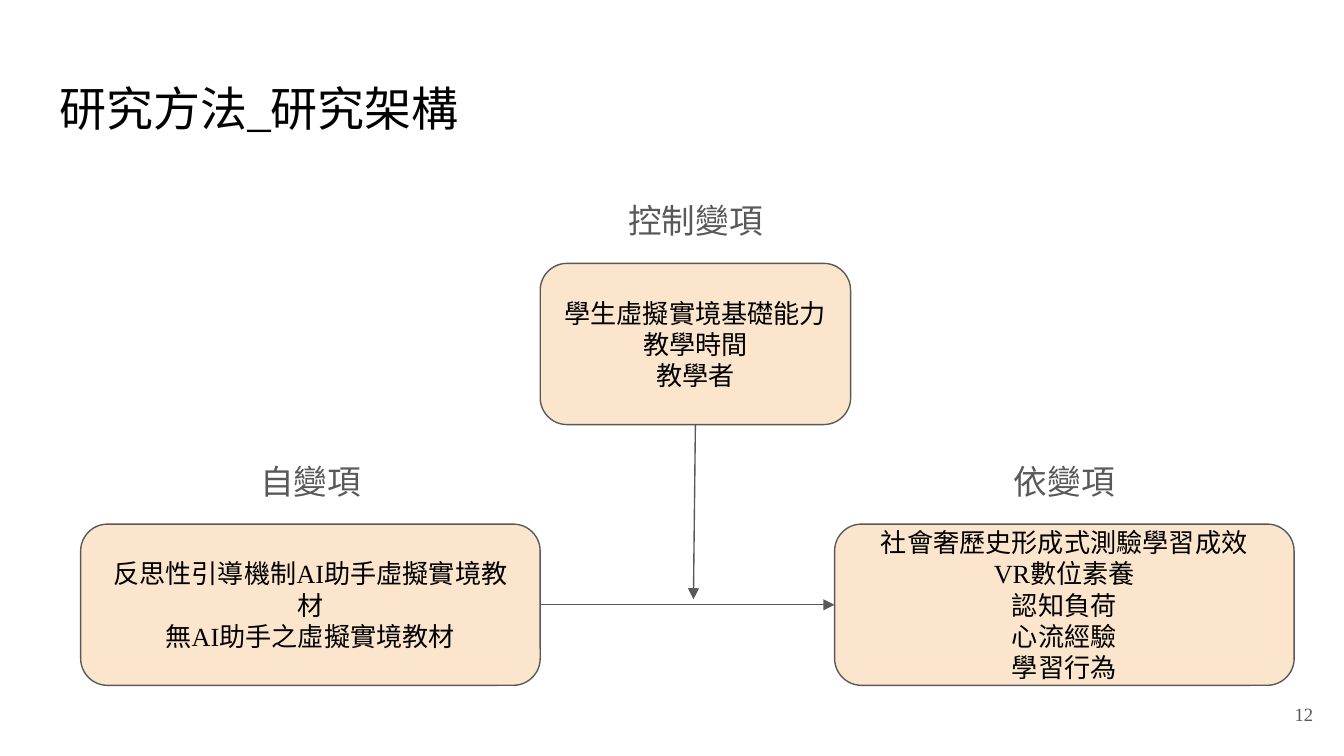
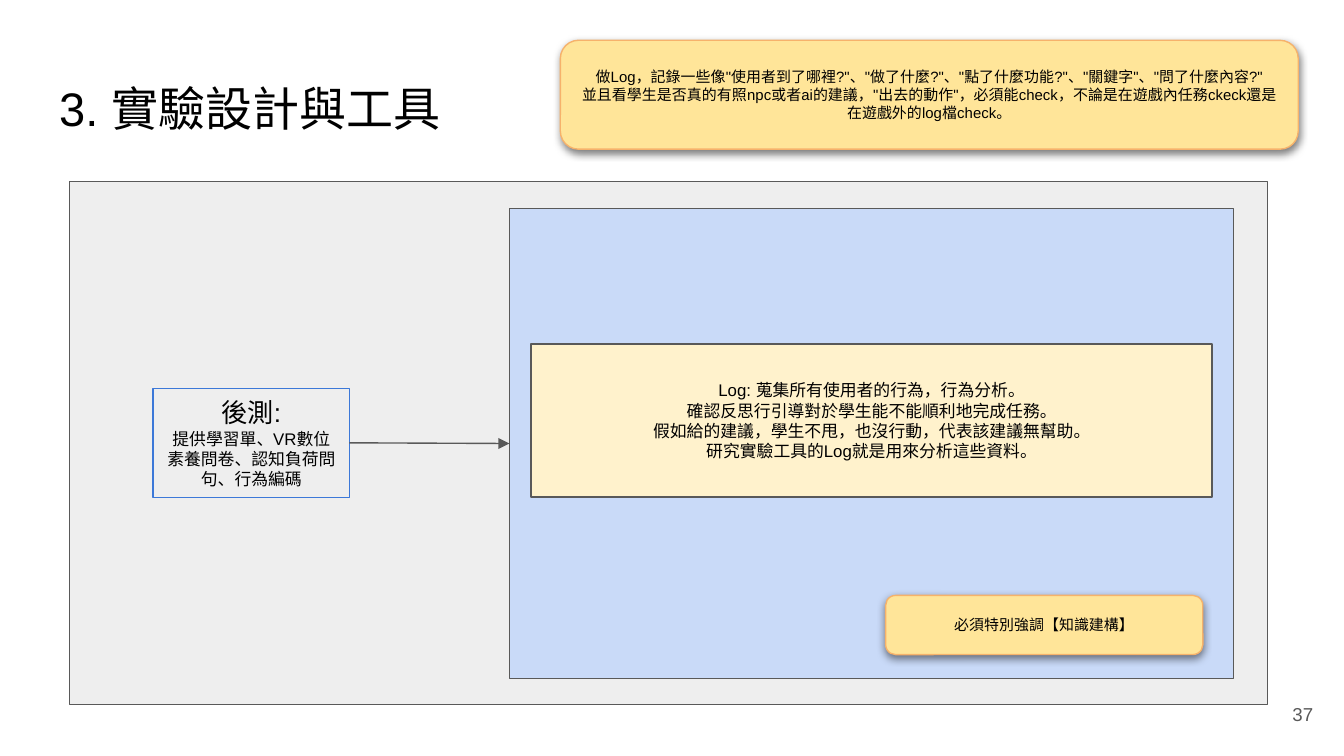
from lxml import etree
from pptx import Presentation
from pptx.dml.color import RGBColor
from pptx.enum.shapes import MSO_CONNECTOR, MSO_SHAPE
from pptx.enum.text import MSO_ANCHOR, MSO_AUTO_SIZE, PP_ALIGN
from pptx.oxml import parse_xml
from pptx.oxml.ns import nsdecls, qn
from pptx.util import Pt

RECT = MSO_SHAPE.RECTANGLE
ROUND = MSO_SHAPE.ROUNDED_RECTANGLE
LINE = MSO_CONNECTOR.STRAIGHT
LEFT, MID, RIGHT = PP_ALIGN.LEFT, PP_ALIGN.CENTER, PP_ALIGN.RIGHT
TOP, CENTER = MSO_ANCHOR.TOP, MSO_ANCHOR.MIDDLE
FIXED = MSO_AUTO_SIZE.NONE

BLACK = RGBColor(0x00, 0x00, 0x00)
GRAY = RGBColor(0x59, 0x59, 0x59)
PALE = RGBColor(0xEE, 0xEE, 0xEE)
PEACH = RGBColor(0xFC, 0xE5, 0xCD)
GOLD = RGBColor(0xFF, 0xE5, 0x99)
CREAM = RGBColor(0xFF, 0xF2, 0xCC)
ORANGE = RGBColor(0xF6, 0xB2, 0x6B)
SKY = RGBColor(0xC9, 0xDA, 0xF8)
BLUE = RGBColor(0x3C, 0x78, 0xD8)

SERIF = "Times New Roman"
SANS = "Arial"
INSET = 7.2
LABEL_RISE = 41
LABEL_RATIO = 0.685

SHADOW = (
    f'<a:effectLst {nsdecls("a")}>'
    f'<a:outerShdw blurRad="{Pt(4.5)}" dist="{Pt(1.5)}" dir="5400000" '
    'algn="bl" rotWithShape="0"><a:srgbClr val="000000">'
    '<a:alpha val="50000"/></a:srgbClr></a:outerShdw></a:effectLst>'
)


def write(shape, lines, face, sizes, color=BLACK, align=MID, anchor=CENTER):
    frame = shape.text_frame
    frame.text = "\n".join(lines)
    frame.word_wrap = True
    frame.auto_size = FIXED
    frame.vertical_anchor = anchor
    frame.margin_left = frame.margin_right = Pt(INSET)
    frame.margin_top = frame.margin_bottom = Pt(INSET)
    for i, para in enumerate(frame.paragraphs):
        para.alignment = align
        for run in para.runs:
            run.font.name = face
            run.font.size = Pt(sizes[min(i, len(sizes) - 1)])
            run.font.color.rgb = color


def add_text(slide, area, text, face, size, align=MID):
    box = slide.shapes.add_textbox(*map(Pt, area))
    write(box, [text], face, [size], GRAY, align)


def add_box(slide, kind, area, fill, edge=GRAY):
    box = slide.shapes.add_shape(kind, *map(Pt, area))
    box.shadow.inherit = False
    box.fill.solid()
    box.fill.fore_color.rgb = fill
    box.line.color.rgb = edge
    box.line.width = Pt(0.75)
    return box


def add_factor(slide, area, label, lines):
    left, top, width, height = area
    box = add_box(slide, ROUND, area, PEACH)
    write(box, lines, SERIF, [14])
    span = width * LABEL_RATIO
    place = (left + (width - span) / 2, top - LABEL_RISE, span, 36)
    add_text(slide, place, label, SERIF, 18)
    return box


def add_note(slide, area, lines):
    note = add_box(slide, ROUND, area, GOLD, ORANGE)
    props = note.element.spPr
    props.replace(props.find(qn("a:effectLst")), parse_xml(SHADOW))
    write(note, lines, SANS, [8])


def add_arrow(slide, start, side, end=None, point=(0, 0)):
    arrow = slide.shapes.add_connector(LINE, 0, 0, *map(Pt, point))
    arrow.begin_connect(start, side)
    if end is not None:
        arrow.end_connect(end, 1)
    arrow.line.color.rgb = GRAY
    arrow.line.width = Pt(0.75)
    etree.SubElement(arrow.line._get_or_add_ln(), qn("a:tailEnd"), type="triangle")
    etree.SubElement(arrow.element.spPr, qn("a:effectLst"))


def add_slide(deck, text, face, number, width):
    slide = deck.slides.add_slide(deck.slide_layouts[5])
    title = slide.shapes.title
    title.left, title.top = Pt(24.5), Pt(35.3)
    title.width, title.height = Pt(width), Pt(45.4)
    write(title, [text], face, [25.2], BLACK, LEFT, TOP)
    add_text(slide, (667.4, 367.2, 43.2, 31), number, face, 10, RIGHT)
    return slide


def add_frame(deck):
    slide = add_slide(deck, "研究方法_研究架構", SERIF, "12", 671)
    effect = add_factor(slide, (447.1, 280.8, 246.2, 86.4), "依變項", [
        "社會奢歷史形成式測驗學習成效",
        "VR數位素養",
        "認知負荷",
        "心流經驗",
        "學習行為",
    ])
    cause = add_factor(slide, (43.2, 280.8, 246.2, 86.4), "自變項", [
        "反思性引導機制AI助手虛擬實境教材",
        "無AI助手之虛擬實境教材",
    ])
    control = add_factor(slide, (289.4, 141.1, 166.3, 86.4), "控制變項", [
        "學生虛擬實境基礎能力",
        "教學時間",
        "教學者",
    ])
    add_arrow(slide, cause, 3, effect)
    add_arrow(slide, control, 2, point=(371.5, 321.1))


def add_design(deck):
    slide = add_slide(deck, "3. 實驗設計與工具", SANS, "37", 234.7)
    add_box(slide, RECT, (37.4, 97.2, 641.5, 280.1), PALE)
    add_note(slide, (300.2, 21.6, 395.3, 58.3), [
        '做Log，記錄一些像"使用者到了哪裡?"、"做了什麼?"、'
        '"點了什麼功能?"、"關鍵字"、"問了什麼內容?"',
        '並且看學生是否真的有照npc或者ai的建議，"出去的動作"，'
        "必須能check，不論是在遊戲內任務ckeck還是在遊戲外的log檔check。",
    ])
    test = add_box(slide, RECT, (82.1, 208.1, 105.1, 58.3), PALE, BLUE)
    write(test, [
        "後測:",
        "提供學習單、VR數位素養問卷、認知負荷問句、行為編碼",
    ], SANS, [14, 9])
    panel = add_box(slide, RECT, (272.9, 111.6, 388.1, 252), SKY)
    add_arrow(slide, test, 3, panel)
    log = add_box(slide, RECT, (284.4, 184.3, 365, 82.1), CREAM)
    write(log, [
        "Log: 蒐集所有使用者的行為，行為分析。",
        "確認反思行引導對於學生能不能順利地完成任務。",
        "假如給的建議，學生不甩，也沒行動，代表該建議無幫助。",
        "研究實驗工具的Log就是用來分析這些資料。",
    ], SANS, [9])
    add_note(slide, (474.5, 319, 169.9, 31.7), ["必須特別強調【知識建構】"])


def main():
    deck = Presentation()
    deck.slide_width, deck.slide_height = Pt(720), Pt(405)
    add_frame(deck)
    add_design(deck)
    deck.save("out.pptx")


if __name__ == "__main__":
    main()
